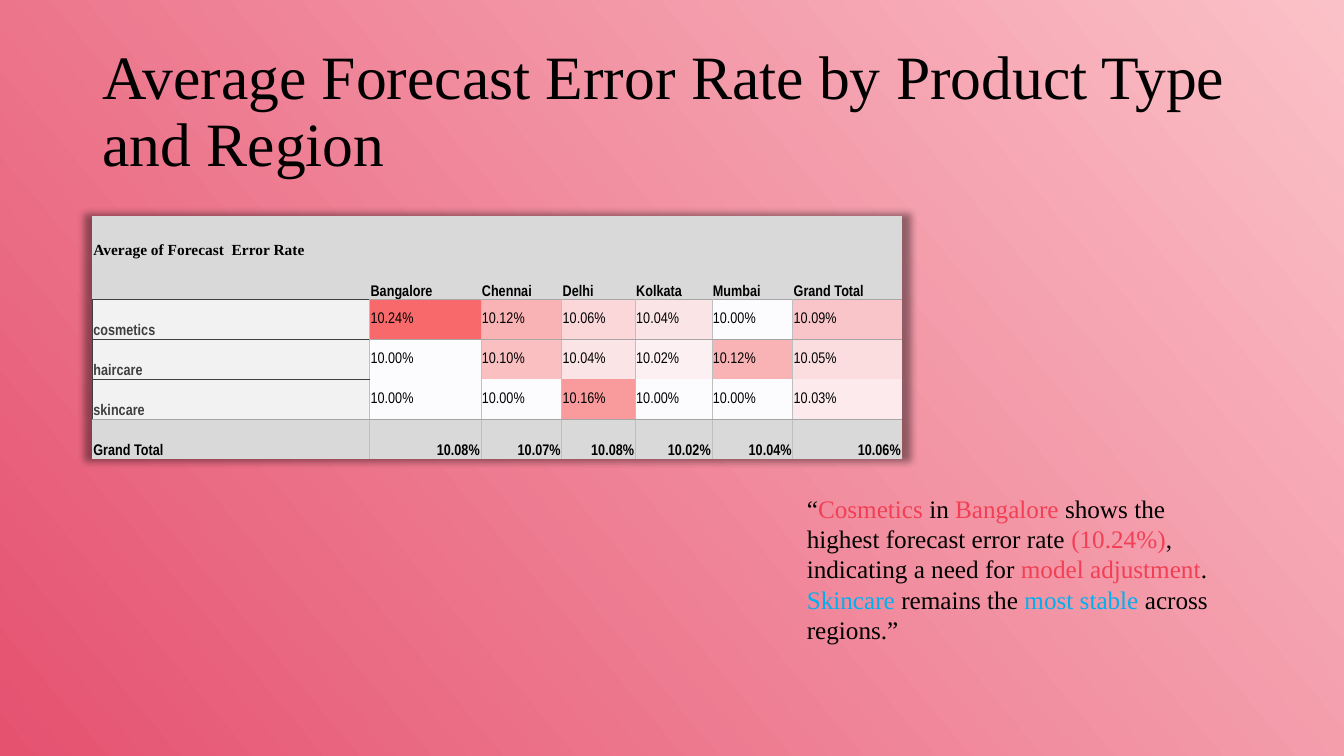
from dataclasses import dataclass
from lxml.etree import SubElement
from pptx import Presentation
from pptx.dml.color import RGBColor
from pptx.enum.text import MSO_ANCHOR as Anchor, MSO_AUTO_SIZE as Fit, PP_ALIGN as Align
from pptx.oxml import parse_xml
from pptx.oxml.ns import nsdecls, qn
from pptx.util import Pt

PX = 9525  # EMU per px, 96 px to the inch


@dataclass(frozen=True)
class Theme:
    serif: str = "Times New Roman"
    narrow: str = "Arial Narrow"
    title: int = 44
    body: int = 18
    cell: int = 11
    ink: str = "000000"
    soft: str = "0D0D0D"
    label: str = "3F3F3F"
    edge: str = "A6A6A6"
    grid: str = "BFBFBF"
    band: str = "D9D9D9"
    side: str = "F2F2F2"
    cold: str = "FCFCFF"
    hot: str = "F8696B"
    red: str = "F23F55"
    blue: str = "00B0F0"
    light: str = "FBC1C8"
    deep: str = "E55270"
    plain: str = "{2D5ABB26-0587-4C30-8999-92F81FD0307C}"


CITIES = ["Bangalore", "Chennai", "Delhi", "Kolkata", "Mumbai", "Grand Total"]
RATES = {
    "cosmetics": [10.24, 10.12, 10.06, 10.04, 10.00, 10.09],
    "haircare": [10.00, 10.10, 10.04, 10.02, 10.12, 10.05],
    "skincare": [10.00, 10.00, 10.16, 10.00, 10.00, 10.03],
}
TOTALS = [10.08, 10.07, 10.08, 10.02, 10.04, 10.06]
LOW, HIGH = 10.00, 10.24
WIDTHS = [264, 106, 77, 70, 73, 77, 104]
HEIGHTS = [41] + [38] * 5
HEAD, TOTAL = 1, 5  # rows of city names and of totals


def rgb(code):
    return RGBColor.from_string(code)


def blend(value, cold, hot):
    """Colour of a rate on the scale from LOW to HIGH."""
    part = (value - LOW) / (HIGH - LOW)
    return RGBColor(*(round(a + (b - a) * part) for a, b in zip(rgb(cold), rgb(hot))))


class Deck:
    def __init__(self, theme):
        self.theme = theme
        self.file = Presentation()
        self.file.slide_width, self.file.slide_height = 1280 * PX, 720 * PX
        self.slide = self.file.slides.add_slide(self.file.slide_layouts[5])

    def back(self):
        fill = self.slide.background.fill
        fill.gradient()
        fill.gradient_angle = 220
        for stop, code in zip(fill.gradient_stops, (self.theme.light, self.theme.deep)):
            stop.color.rgb = rgb(code)

    def style(self, run, size, face, code, bold=False):
        font = run.font
        font.size, font.name, font.bold = Pt(size), face, bold
        font.color.rgb = rgb(code)

    def title(self, text, x, y, w, h):
        shape = self.slide.shapes.title
        shape.left, shape.top, shape.width, shape.height = (n * PX for n in (x, y, w, h))
        frame = shape.text_frame
        frame.text = text
        frame.auto_size, frame.vertical_anchor = Fit.NONE, Anchor.MIDDLE
        para = frame.paragraphs[0]
        para.alignment, para.line_spacing = Align.LEFT, 0.9
        self.style(para.runs[0], self.theme.title, self.theme.serif, self.theme.ink)

    def note(self, parts, x, y, w, h):
        frame = self.slide.shapes.add_textbox(*(n * PX for n in (x, y, w, h))).text_frame
        frame.word_wrap, frame.auto_size = True, Fit.SHAPE_TO_FIT_TEXT
        for text, code in parts:
            run = frame.paragraphs[0].add_run()
            run.text = text
            self.style(run, self.theme.body, self.theme.serif, code)

    def table(self, x, y):
        box = (x, y, sum(WIDTHS), sum(HEIGHTS))
        frame = self.slide.shapes.add_table(len(HEIGHTS), len(WIDTHS), *(n * PX for n in box))
        table = frame.table
        table.first_row = table.horz_banding = False
        for col, wide in zip(table.columns, WIDTHS):
            col.width = wide * PX
        for row, high in zip(table.rows, HEIGHTS):
            row.height = high * PX
        props = table._tbl.tblPr
        props.find(qn("a:tableStyleId")).text = self.theme.plain
        props.insert(0, parse_xml(
            f'<a:effectLst {nsdecls("a")}><a:outerShdw blurRad="63500" sx="102000" sy="102000" '
            'algn="ctr" rotWithShape="0"><a:srgbClr val="000000"><a:alpha val="40000"/>'
            '</a:srgbClr></a:outerShdw></a:effectLst>'))
        return table

    def cell(self, cell, text, fill, code, face, bold, anchor, align=Align.LEFT):
        cell.margin_left = cell.margin_right = cell.margin_top = PX
        cell.margin_bottom = 0
        cell.vertical_anchor = anchor
        cell.fill.solid()
        cell.fill.fore_color.rgb = fill
        cell.text_frame.text = text
        para = cell.text_frame.paragraphs[0]
        para.alignment = align
        for run in para.runs:
            self.style(run, self.theme.cell, face, code, bold)

    def rules(self, cell, edges):
        """Draw half-point borders; edges maps L, R, T, B to a colour."""
        props = cell._tc.get_or_add_tcPr()
        for spot, side in enumerate(s for s in "LRTB" if s in edges):
            line = parse_xml(f'<a:ln{side} {nsdecls("a")} w="6350"/>')
            SubElement(SubElement(line, qn("a:solidFill")), qn("a:srgbClr"), val=edges[side])
            props.insert(spot, line)


def edges(row, col, theme):
    if row < HEAD:
        return {}
    if row == HEAD:
        return {"B": theme.edge if col else theme.label}
    found = {}
    if col:
        found["L"] = theme.grid
    if col < len(CITIES):
        found["R"] = theme.grid
    if row in (HEAD + 1, TOTAL):
        found["T"] = theme.edge
    if row == TOTAL - 1:
        found["B"] = theme.edge
    if not col and row < TOTAL:
        found = {"B": theme.label, **found, "L": theme.label, "T": theme.label}
    return found


def rates(deck, x, y):
    theme = deck.theme
    table = deck.table(x, y)
    band = rgb(theme.band)
    rows = [["Average of Forecast  Error Rate"] + [""] * len(CITIES), [""] + CITIES]
    rows += [[name, *vals] for name, vals in RATES.items()]
    rows.append(["Grand Total", *TOTALS])
    for r, row in enumerate(rows):
        for c, item in enumerate(row):
            body, value = HEAD < r < TOTAL, isinstance(item, float)
            fill, code, bold, anchor = band, theme.ink, True, Anchor.BOTTOM
            if body and value:
                fill, bold, anchor = blend(item, theme.cold, theme.hot), False, Anchor.MIDDLE
            elif body:
                fill, code = rgb(theme.side), theme.label
            text = f"{item:.2f}%" if value else item
            face = theme.narrow if r else theme.serif
            align = Align.RIGHT if value and r == TOTAL else Align.LEFT
            cell = table.cell(r, c)
            deck.cell(cell, text, fill, code, face, bold, anchor, align)
            deck.rules(cell, edges(r, c, theme))


def main():
    theme = Theme()
    deck = Deck(theme)
    deck.back()
    deck.title("Average Forecast Error Rate by Product Type and Region", 88, 38, 1104, 139)
    rates(deck, 88, 206)
    ink, red, blue = theme.ink, theme.red, theme.blue
    deck.note([
        ("“", ink), ("Cosmetics", red), (" in ", ink), ("Bangalore", red),
        (" shows the highest forecast error rate ", ink), ("(10.24%)", red),
        (", ", theme.soft), ("indicating a need for ", ink), ("model adjustment", red),
        (". ", ink), ("Skincare", blue), (" remains the ", ink),
        ("most stable ", blue), ("across regions.”", ink),
    ], 759, 465, 433, 156)
    deck.file.save("out.pptx")


if __name__ == "__main__":
    main()
